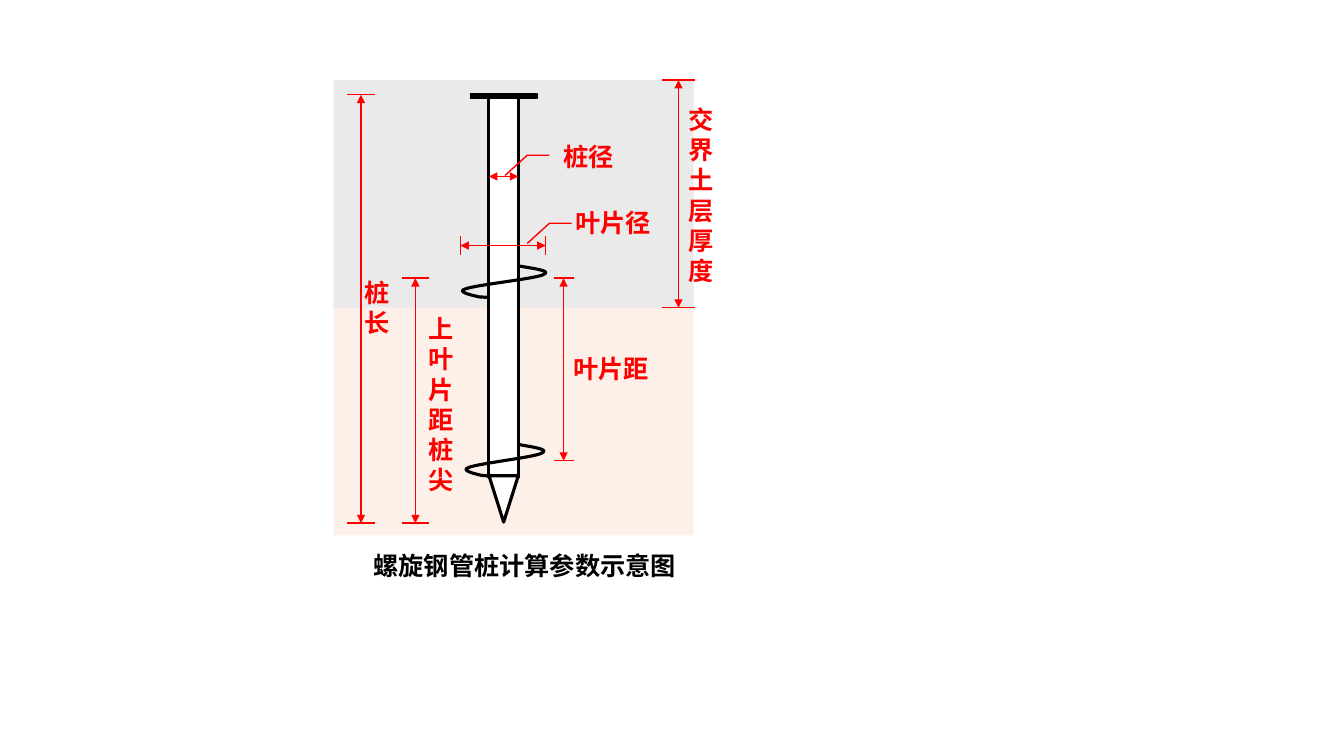
from dataclasses import dataclass

from lxml.etree import SubElement
from pptx import Presentation
from pptx.dml.color import RGBColor as Color
from pptx.enum.shapes import MSO_CONNECTOR as Link, MSO_SHAPE as Preset
from pptx.enum.text import MSO_ANCHOR as Anchor
from pptx.oxml.ns import qn
from pptx.util import Inches, Pt


@dataclass
class Theme:
    font: str = "Noto Sans CJK SC"
    mark: Color = Color(0xFF, 0x00, 0x00)
    ink: Color = Color(0x00, 0x00, 0x00)
    steel: Color = Color(0xFF, 0xFF, 0xFF)
    upper_soil: Color = Color(0xD9, 0xD9, 0xD9)
    lower_soil: Color = Color(0xFB, 0xE5, 0xD6)
    soil_alpha: int = 54000
    text_size: Pt = Pt(18)
    line_pitch: Pt = Pt(21.6)
    thin: Pt = Pt(1)
    thick: Pt = Pt(2.25)


theme = Theme()
deck = Presentation()
deck.slide_width, deck.slide_height = Inches(13.33), Inches(7.5)
page = deck.slides.add_slide(deck.slide_layouts[6])
column, row = deck.slide_width / 1333, deck.slide_height / 750


def add_line(x1, y1, x2, y2, arrows=False):
    ends = int(x1 * column), int(y1 * row), int(x2 * column), int(y2 * row)
    line = page.shapes.add_connector(Link.STRAIGHT, *ends)
    line.line.color.rgb = theme.mark
    line.line.width = theme.thin
    if arrows:
        for end in ("a:headEnd", "a:tailEnd"):
            SubElement(line.line._get_or_add_ln(), qn(end), type="triangle")
    SubElement(line._element.spPr, qn("a:effectLst"))


def add_outline(points, color, width):
    start, *rest = [(x * column, y * row) for x, y in points]
    builder = page.shapes.build_freeform(*start)
    builder.add_line_segments(rest, close=False)
    outline = builder.convert_to_shape()
    outline.shadow.inherit = False
    outline.fill.background()
    outline.line.color.rgb = color
    outline.line.width = width
    return outline


soil_left, soil_top, soil_width, soil_depth = 331, 79.5, 357, 225.7
boundary = soil_top + soil_depth
for top, color in ((boundary, theme.lower_soil), (soil_top, theme.upper_soil)):
    soil = page.shapes.add_shape(Preset.RECTANGLE, int(soil_left * column), int(top * row),
                                 int(soil_width * column), int(soil_depth * row))
    soil.shadow.inherit = False
    soil.fill.solid()
    soil.fill.fore_color.rgb = color
    tint = soil._element.spPr.find(qn("a:solidFill"))[0]
    SubElement(tint, qn("a:alpha"), val=str(theme.soil_alpha))
    soil.line.fill.background()

pile_parts = [
    (Preset.RECTANGLE, 484.3, 96, 30, 378, theme.steel, theme.thick, 0),
    (Preset.ISOSCELES_TRIANGLE, 485, 472, 29, 46, theme.steel, theme.thick, 180),
    (Preset.RECTANGLE, 466.7, 93, 66, 5, theme.ink, theme.thin, 0),
]
for preset, left, top, width, height, color, border, turn in pile_parts:
    part = page.shapes.add_shape(preset, int(left * column), int(top * row),
                                 int(width * column), int(height * row))
    part.shadow.inherit = False
    part.rotation = turn
    part.fill.solid()
    part.fill.fore_color.rgb = color
    part.line.color.rgb = theme.ink
    part.line.width = border

blade_width, blade_depth, blade_root, detail = 78, 32, 51, 10
blade_curve = [(25, 31), (22, 32), (21, 31), (16, 31), (12, 30), (-7, 26), (3, 23),
               (13, 19), (67, 13), (75, 9), (84, 5), (67, 3), (51, 0)]
for blade_top, stretch in ((440.7, 1), (263.6, 1.07)):
    left = 513 - blade_root * stretch
    right = left + blade_width * stretch
    blade = add_outline([(left, blade_top), (right, blade_top + blade_depth)],
                        theme.ink, theme.thick)
    curve = next(blade._element.iter(qn("a:path")))
    curve.set("w", str(blade_width * detail))
    curve.set("h", str(blade_depth * detail))
    for segment in list(curve):
        curve.remove(segment)
    spans = [("a:moveTo", blade_curve[:1])]
    spans += [("a:cubicBezTo", blade_curve[i:i + 3]) for i in range(1, len(blade_curve), 3)]
    for tag, points in spans:
        segment = SubElement(curve, qn(tag))
        for x, y in points:
            SubElement(segment, qn("a:pt"), x=str(x * detail), y=str(y * detail))

upper_blade, lower_blade, pile_tip = 276, 457, 519
vertical_spans = [
    (358, 94, pile_tip, 13.5),
    (559, upper_blade, lower_blade, 10),
    (412, upper_blade, pile_tip, 13.5),
    (673, soil_top, boundary, 16),
]
for x, top, bottom, reach in vertical_spans:
    add_line(x, top, x, bottom, arrows=True)
    for y in (top, bottom):
        add_line(x - reach, y, x + reach, y)

for left, right, y, reach in ((485, 514, 175, 0), (456.7, 541, 243.6, 9)):
    add_line(right, y, left, y, arrows=True)
    if reach:
        for x in (left, right):
            add_line(x, y + reach, x, y - reach)

for x, y in ((501, 174), (523, 241.5)):
    add_outline([(x, y), (x + 22, y - 20), (x + 44, y - 20)], theme.mark, theme.thin)

labels = [
    ("叶片距", 559, 345.5, 96, 40, False, theme.mark),
    ("上叶片距桩尖", 415, 306, 51, 192, True, theme.mark),
    ("桩长", 352, 270, 51, 71, True, theme.mark),
    ("叶片径", 561, 201, 96, 40, False, theme.mark),
    ("桩径", 549, 135, 71, 40, False, theme.mark),
    ("螺旋钢管桩计算参数示意图", 360.5, 541, 325, 40, False, theme.ink),
    ("交界土层厚度", 673.3, 98.5, 59, 192, True, theme.mark),
]
for words, left, top, width, height, stacked, color in labels:
    box = page.shapes.add_textbox(int(left * column), int(top * row),
                                  int(width * column), int(height * row))
    frame = box.text_frame
    frame.word_wrap = stacked
    frame.vertical_anchor = Anchor.TOP
    para = frame.paragraphs[0]
    para.line_spacing = theme.line_pitch
    span = para.add_run()
    span.text = words
    span.font.name = theme.font
    span.font.size = theme.text_size
    span.font.bold = True
    span.font.color.rgb = color
    SubElement(span.font._element, qn("a:ea"), typeface=theme.font)

deck.save("out.pptx")
